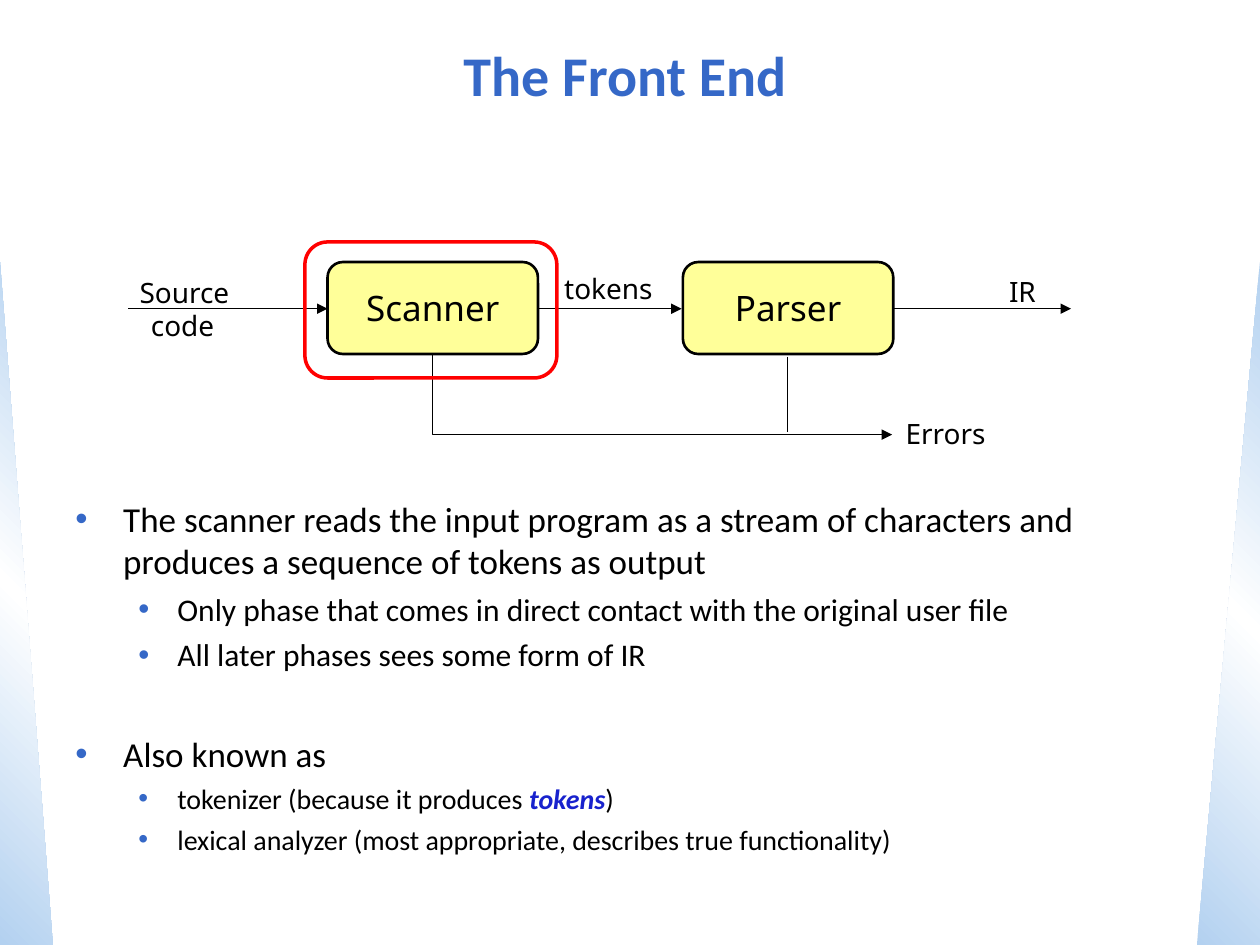
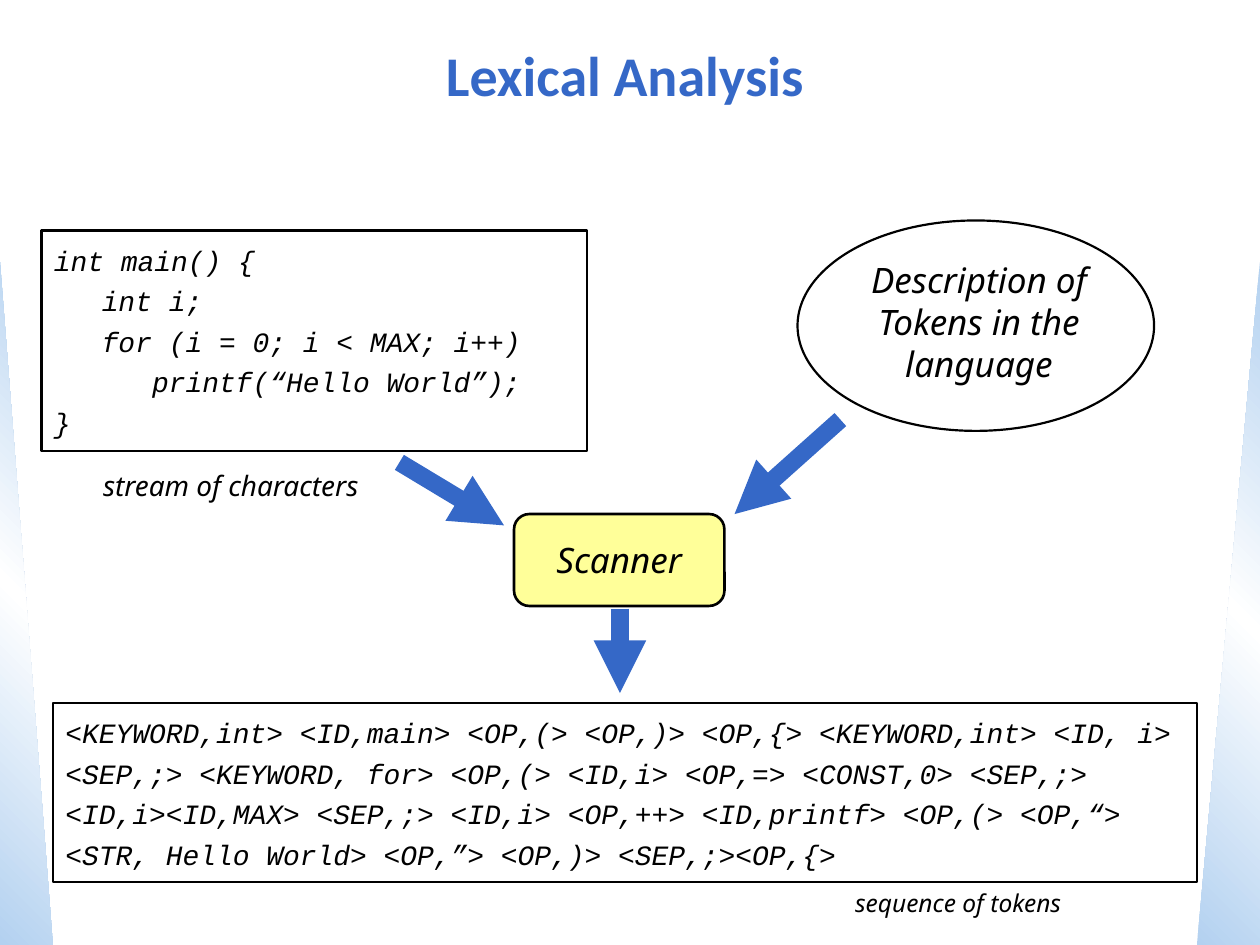
from copy import deepcopy

from lxml.etree import SubElement
from pptx import Presentation
from pptx.dml.color import RGBColor as RGB
from pptx.enum.shapes import MSO_CONNECTOR as CONN, MSO_SHAPE as SHAPE
from pptx.enum.text import MSO_ANCHOR as ANCHOR, PP_ALIGN as ALIGN
from pptx.oxml.ns import qn
from pptx.util import Inches, Pt

COLORS = {"blue": "3568C7", "band": "B3D1F0", "white": "FFFFFF", "black": "000000",
          "node": "FFFF99", "focus": "FF0000", "term": "1822CD"}
C = {name: RGB.from_string(value) for name, value in COLORS.items()}
SANS, BODY, CODE = "Noto Sans", "Calibri", "Courier New"
NODE_SIZE = (1.67, 0.73)
LABEL = dict(name=SANS, size=Pt(16))
NODE = dict(name=SANS, size=Pt(20))
LISTING = dict(name=CODE, size=Pt(16), italic=True)


def add_box(slide, kind, box, lines=(), font=LABEL, align=ALIGN.LEFT, anchor=ANCHOR.TOP,
            wrap=False, fill=None, line="black", width=1.25, gap=0):
    """Add a preset shape, or a text box when kind is None."""
    box = [Inches(v) for v in box]
    if kind is None:
        s = slide.shapes.add_textbox(*box)
    else:
        s = slide.shapes.add_shape(kind, *box)
        s.shadow.inherit = False
        if fill:
            s.fill.solid()
            s.fill.fore_color.rgb = C[fill]
        else:
            s.fill.background()
        s.line.color.rgb = C[line]
        s.line.width = Pt(width)
    tf = s.text_frame
    tf.word_wrap = wrap
    tf.vertical_anchor = anchor
    for i, text in enumerate(lines):
        p = tf.paragraphs[0] if i == 0 else tf.add_paragraph()
        p.alignment = align
        if i and gap:
            p.space_before = Pt(gap)
        r = p.add_run()
        r.text = text
        r.font.color.rgb = C["black"]
        for key, value in font.items():
            setattr(r.font, key, value)
    return s


def add_line(slide, start, end, color="black", width=0.75, arrow=True, kind=CONN.STRAIGHT):
    s = slide.shapes.add_connector(kind, *[Inches(v) for v in (*start, *end)])
    s.line.color.rgb = C[color]
    s.line.width = Pt(width)
    if arrow:
        SubElement(s.line._get_or_add_ln(), qn("a:tailEnd"), type="triangle")
    SubElement(s._element.spPr, qn("a:effectLst"))
    return s


prs = Presentation()
prs.slide_width, prs.slide_height = Inches(10), Inches(7.5)

# Shared side bands and titles
slides = []
for title in ("The Front End", "Lexical Analysis"):
    slide = prs.slides.add_slide(prs.slide_layouts[6])
    for left, width, angle in ((0, 0.42, 225), (9.5, 0.5, 135)):
        s = add_box(slide, SHAPE.RIGHT_TRIANGLE, (left, 2.08, width, 5.42))
        s.line.fill.background()
        s.fill.gradient()
        s.fill.gradient_angle = angle
        stops = s._element.spPr.find(".//" + qn("a:gsLst"))
        stops.append(deepcopy(stops[0]))
        for stop, pos, color in zip(s.fill.gradient_stops, (0, 0.5, 1), ("band", "white", "band")):
            stop.position = pos
            stop.color.rgb = C[color]
        if left:
            s._element.spPr.xfrm.set("flipH", "1")
    s = add_box(slide, None, (0.25, 0.17, 9.42, 0.83), [title],
                dict(name=BODY, size=Pt(32), bold=True), ALIGN.CENTER, ANCHOR.MIDDLE, True)
    s.text_frame.paragraphs[0].runs[0].font.color.rgb = C["blue"]
    slides.append(slide)
front_end, lexical = slides

# Front end: bullets, as level, size, space before, runs
bullets = [
    (0, 20, 0, ["The scanner reads the input program as a stream of characters and "
                "produces a sequence of tokens as output"]),
    (1, 18, 4.5, ["Only phase that comes in direct contact with the original user file"]),
    (1, 18, 4.5, ["All later phases sees some form of IR"]),
    (0, 20, 34, ["Also known as"]),
    (1, 16, 4, ["tokenizer (because it produces ", "tokens", ")"]),
    (1, 16, 4, ["lexical analyzer (most appropriate, describes true functionality)"]),
]
tf = add_box(front_end, None, (0.5, 3.83, 9, 3.33), wrap=True).text_frame
tf.margin_top = Inches(0.12)
for i, (level, size, before, texts) in enumerate(bullets):
    p = tf.paragraphs[0] if i == 0 else tf.add_paragraph()
    p.level = level
    left, hang = ((0.38, 0.38), (0.81, 0.31))[level]
    pPr = p._p.get_or_add_pPr()
    pPr.set("marL", str(Inches(left)))
    pPr.set("indent", str(-Inches(hang)))
    SubElement(SubElement(pPr, qn("a:buClr")), qn("a:srgbClr"), val=COLORS["blue"])
    SubElement(pPr, qn("a:buFont"), typeface="Arial")
    SubElement(pPr, qn("a:buChar"), char="•")
    if before:
        p.space_before = Pt(before)
    for text in texts:
        r = p.add_run()
        r.text = text
        term = text == "tokens"
        fmt = dict(name=BODY, size=Pt(size), bold=term, italic=term)
        for key, value in fmt.items():
            setattr(r.font, key, value)
        r.font.color.rgb = C["term" if term else "black"]

# Front end: flow from source code to IR
for left, text in ((2.6, "Scanner"), (5.42, "Parser")):
    add_box(front_end, SHAPE.ROUNDED_RECTANGLE, (left, 2.08, *NODE_SIZE), [text], NODE,
            ALIGN.CENTER, ANCHOR.MIDDLE, fill="node", width=1.5)
for left, top, width, text in ((7.09, 3.26, 0.84, "Errors"), (1.01, 2.14, 0.91, "Source"),
                               (1.1, 2.4, 0.7, "code"), (7.91, 2.13, 0.41, "IR"),
                               (4.38, 2.11, 0.9, "tokens")):
    add_box(front_end, None, (left, top, width, 0.37), [text])
for start, end in ((1.02, 2.6), (4.28, 5.41), (7.08, 8.5)):
    add_line(front_end, (start, 2.45), (end, 2.45))
add_line(front_end, (6.25, 2.83), (6.25, 3.43), arrow=False)

# Front end: single-bend error arrow, drawn upright and turned by 270 degrees
s = add_line(front_end, (5.57, 1.31), (4.94, 4.96), kind=CONN.ELBOW)
s._element.spPr.xfrm.set("rot", str(270 * 60000))
s._element.spPr.find(qn("a:prstGeom")).set("prst", "bentConnector2")

# Front end: highlight around the scanner
add_box(front_end, SHAPE.ROUNDED_RECTANGLE, (2.42, 1.92, 2, 1.08), line="focus", width=2)

# Lexical analysis: program text and resulting tokens
program = ["int main() {", "int i;", "for (i = 0; i < MAX; i++)",
           "   printf(“Hello World”);", "}"]
tokens = ["<KEYWORD,int> <ID,main> <OP,(> <OP,)> <OP,{> <KEYWORD,int> <ID, i>",
          "<SEP,;> <KEYWORD, for> <OP,(> <ID,i> <OP,=> <CONST,0> <SEP,;>",
          "<ID,i><ID,MAX> <SEP,;> <ID,i> <OP,++> <ID,printf> <OP,(> <OP,“>",
          "<STR, Hello World> <OP,”> <OP,)> <SEP,;><OP,{>"]
for box, lines in (((0.33, 1.83, 4.33, 1.75), program), ((0.42, 5.58, 9.08, 1.42), tokens)):
    tf = add_box(lexical, SHAPE.RECTANGLE, box, lines, LISTING, wrap=True, gap=4).text_frame
    tf.margin_top = Inches(0.1)
    if lines is program:
        for p in tf.paragraphs[1:-1]:
            p._p.get_or_add_pPr().set("marL", str(Inches(0.38)))

# Lexical analysis: scanner and token description
add_box(lexical, SHAPE.ROUNDED_RECTANGLE, (4.08, 4.08, *NODE_SIZE), ["Scanner"],
        dict(NODE, italic=True), ALIGN.CENTER, ANCHOR.MIDDLE, fill="node", width=1.5)
add_box(lexical, SHAPE.OVAL, (6.33, 1.75, 2.83, 1.67))
add_box(lexical, None, (6.78, 2, 1.98, 1.1), ["Description of", "Tokens in the", "language"],
        dict(NODE, italic=True), ALIGN.CENTER)

# Lexical analysis: block arrows and captions
for start, end in (((6.67, 3.33), (5.83, 4.08)), ((4.92, 4.83), (4.92, 5.5)),
                   ((3.17, 3.67), (4, 4.17))):
    add_line(lexical, start, end, "blue", 10)
add_box(lexical, None, (0.72, 3.67, 2.23, 0.37), ["stream of characters"],
        dict(LABEL, italic=True))
add_box(lexical, None, (6.25, 7, 2.71, 0.34), ["sequence of tokens"],
        dict(name=SANS, size=Pt(14), italic=True), ALIGN.CENTER, wrap=True)

prs.save("out.pptx")
